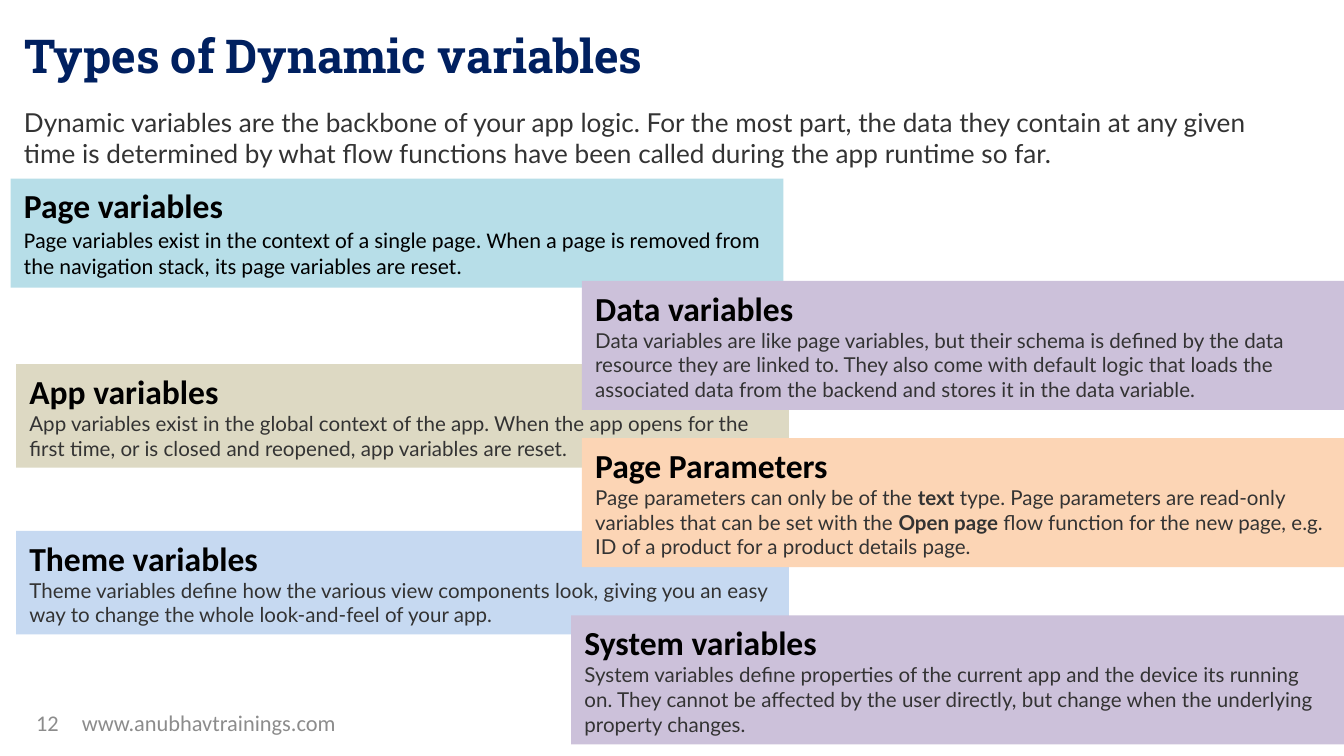
from dataclasses import dataclass

from pptx import Presentation
from pptx.dml.color import RGBColor
from pptx.enum import shapes, text
from pptx.util import Inches, Pt


@dataclass(frozen=True)
class Theme:
    navy: str = "002060"
    black: str = "000000"
    dark: str = "333333"
    gray: str = "8C8C8C"
    sand: str = "DDD9C3"
    blue: str = "C6D9F1"
    aqua: str = "B7DEE8"
    lilac: str = "CCC1DA"
    peach: str = "FCD5B5"
    slab: str = "Roboto Slab"
    sans: str = "Calibri"
    lato: str = "Lato"
    title: int = 25
    head: int = 18
    intro: int = 14
    note: int = 12
    body: int = 11


theme = Theme()


def add_run(para, words, face, size, color, bold=False):
    run = para.add_run()
    run.text = words
    run.font.name = face
    run.font.size = Pt(size)
    run.font.bold = bold
    run.font.color.rgb = RGBColor.from_string(color)


def add_label(left, top, width, height, words, face, size, color, anchor, align):
    box = slide.shapes.add_textbox(Inches(left), Inches(top), Inches(width), Inches(height))
    frame = box.text_frame
    frame.word_wrap = True
    frame.vertical_anchor = anchor
    para = frame.paragraphs[0]
    para.alignment = align
    add_run(para, words, face, size, color)


deck = Presentation()
deck.slide_width = Inches(10)
deck.slide_height = Inches(10) * 9 // 16
slide = deck.slides.add_slide(deck.slide_layouts[5])

top, middle = text.MSO_ANCHOR.TOP, text.MSO_ANCHOR.MIDDLE
left, center = text.PP_ALIGN.LEFT, text.PP_ALIGN.CENTER

title = slide.shapes.title
title.left, title.top = Inches(0.08), Inches(0.15)
title.width, title.height = Inches(9), Inches(0.58)
title.text_frame.vertical_anchor = top
para = title.text_frame.paragraphs[0]
para.alignment = left
add_run(para, "Types of Dynamic variables", theme.slab, theme.title, theme.navy, True)

add_label(0.08, 0.74, 9.67, 0.58,
          "Dynamic variables are the backbone of your app logic. For the most part, the data they "
          "contain at any given time is determined by what flow functions have been called during "
          "the app runtime so far.",
          theme.lato, theme.intro, theme.dark, top, left)
add_label(-0.03, 5.23, 3.17, 0.3, "www.anubhavtrainings.com",
          theme.sans, theme.note, theme.gray, middle, center)
add_label(0.17, 5.23, 0.5, 0.3, "12", theme.sans, theme.note, theme.gray, middle, left)

plain = (theme.lato, theme.body, theme.dark)
strong = (theme.sans, theme.note, theme.black)

cards = [
    (0.12, 2.71, 0.77, theme.sand, "App variables", plain,
     ["App variables exist in the global context of the app. When the app opens for the first "
      "time, or is closed and reopened, app variables are reset."]),
    (0.12, 3.95, 0.77, theme.blue, "Theme variables", plain,
     ["Theme variables define how the various view components look, giving you an easy way to "
      "change the whole look-and-feel of your app."]),
    (0.08, 1.33, 0.81, theme.aqua, "Page variables", strong,
     ["Page variables exist in the context of a single page. When a page is removed from the "
      "navigation stack, its page variables are reset."]),
    (4.33, 2.09, 0.96, theme.lilac, "Data variables", plain,
     ["Data variables are like page variables, but their schema is defined by the data resource "
      "they are linked to. They also come with default logic that loads the associated data from "
      "the backend and stores it in the data variable."]),
    (4.33, 3.26, 0.96, theme.peach, "Page Parameters", plain,
     ["Page parameters can only be of the ", "text",
      " type. Page parameters are read-only variables that can be set with the ", "Open page",
      " flow function for the new page, e.g. ID of a product for a product details page."]),
    (4.25, 4.58, 0.96, theme.lilac, "System variables", plain,
     ["System variables define properties of the current app and the device its running on. They "
      "cannot be affected by the user directly, but change when the underlying property changes."]),
]

for x, y, height, fill, head, style, parts in cards:
    card = slide.shapes.add_shape(shapes.MSO_SHAPE.RECTANGLE,
                                  Inches(x), Inches(y), Inches(5.75), Inches(height))
    card.shadow.inherit = False
    card.fill.solid()
    card.fill.fore_color.rgb = RGBColor.from_string(fill)
    card.line.fill.background()
    frame = card.text_frame
    frame.word_wrap = True
    frame.auto_size = text.MSO_AUTO_SIZE.SHAPE_TO_FIT_TEXT
    frame.vertical_anchor = top
    first, second = frame.paragraphs[0], frame.add_paragraph()
    first.alignment = second.alignment = left
    add_run(first, head, theme.sans, theme.head, theme.black, True)
    for i, part in enumerate(parts):
        add_run(second, part, *style, bold=i % 2 == 1)

deck.save("out.pptx")
